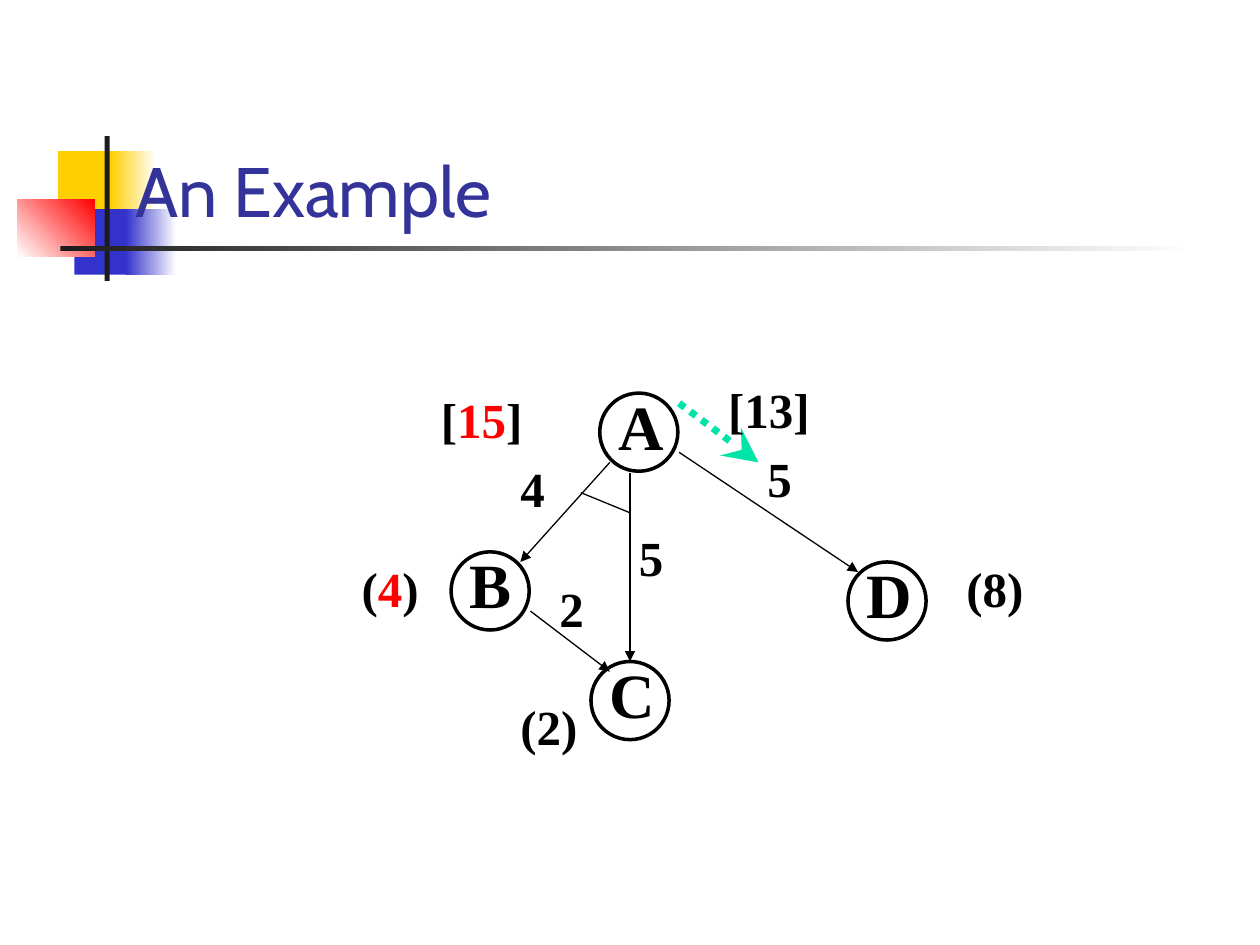
from lxml import etree
from pptx import Presentation
from pptx.dml.color import RGBColor
from pptx.enum.dml import MSO_LINE
from pptx.enum.shapes import MSO_CONNECTOR, MSO_SHAPE
from pptx.enum.text import MSO_ANCHOR, MSO_AUTO_SIZE
from pptx.oxml.ns import qn
from pptx.util import Inches, Pt

BLACK, WHITE, RED = "000000", "FFFFFF", "FF0000"
YELLOW, BLUE, DARK = "FFCF01", "3333CC", "1C1C1C"
GREEN, TITLE_BLUE = "00E4A8", "333399"
SERIF = "Times New Roman"
NODE_SIZE = 0.62


def rgb(color):
    return RGBColor.from_string(color)


def add_block(slide, left, top, width, height, colors, angle=0):
    """Rectangle without outline: one colour is solid, two make a gradient."""
    sp = slide.shapes.add_shape(MSO_SHAPE.RECTANGLE, Inches(left), Inches(top),
                                Inches(width), Inches(height))
    sp.shadow.inherit = False
    sp.line.fill.background()
    if len(colors) == 1:
        sp.fill.solid()
        sp.fill.fore_color.rgb = rgb(colors[0])
    else:
        sp.fill.gradient()
        sp.fill.gradient_angle = angle
        for stop, color in zip(sp.fill.gradient_stops, colors):
            stop.color.rgb = rgb(color)


def add_label(slide, left, top, width, height, runs, size):
    """Bold serif label made of (text, colour) runs."""
    box = slide.shapes.add_textbox(Inches(left), Inches(top),
                                   Inches(width), Inches(height))
    tf = box.text_frame
    tf.word_wrap = False
    tf.auto_size = MSO_AUTO_SIZE.SHAPE_TO_FIT_TEXT
    tf.margin_left = tf.margin_right = Inches(0.07)
    tf.margin_top = tf.margin_bottom = Inches(0.03)
    p = tf.paragraphs[0]
    p.line_spacing = 0.88
    p.font.size, p.font.name, p.font.bold = Pt(size), SERIF, True
    for text, color in runs:
        r = p.add_run()
        r.text = text
        r.font.color.rgb = rgb(color)


def add_line(slide, start, end, color=BLACK, width=0.75, head=None, head_size="med"):
    line = slide.shapes.add_connector(MSO_CONNECTOR.STRAIGHT,
                                      *(Inches(v) for v in (*start, *end)))
    line.line.color.rgb = rgb(color)
    line.line.width = Pt(width)
    if head:
        etree.SubElement(line.line._get_or_add_ln(), qn("a:tailEnd"),
                         type=head, w=head_size, len=head_size)
    etree.SubElement(line._element.spPr, qn("a:effectLst"))
    return line


def add_motif(slide, left, top):
    """Coloured squares and the rules beside the title."""
    blocks = [
        (0.32, 0.13, 0.48, 0.52, [YELLOW], 0),
        (0.74, 0.13, 0.36, 0.52, [YELLOW, WHITE], 0),
        (0.45, 0.59, 0.46, 0.52, [BLUE], 0),
        (0.86, 0.59, 0.4, 0.52, [BLUE, WHITE], 0),
        (0, 0.51, 0.61, 0.46, [WHITE, RED], 45),
        (0.69, 0.01, 0.04, 1.15, [DARK], 0),
        (0.34, 0.88, 9, 0.04, [DARK, WHITE], 0),
    ]
    for x, y, width, height, colors, angle in blocks:
        add_block(slide, left + x, top + y, width, height, colors, angle)


def add_title(slide, left, top, width, height):
    box = slide.shapes.add_textbox(Inches(left), Inches(top),
                                   Inches(width), Inches(height))
    tf = box.text_frame
    tf.word_wrap = True
    tf.vertical_anchor = MSO_ANCHOR.BOTTOM
    p = tf.paragraphs[0]
    p.text = "An Example"
    p.font.size, p.font.name = Pt(40), "Cabin"
    p.font.color.rgb = rgb(TITLE_BLUE)


def add_node(slide, left, top, name):
    """Circle with its letter."""
    circle = slide.shapes.add_shape(MSO_SHAPE.OVAL, Inches(left), Inches(top),
                                    Inches(NODE_SIZE), Inches(NODE_SIZE))
    circle.shadow.inherit = False
    circle.fill.background()
    circle.line.color.rgb = rgb(BLACK)
    circle.line.width = Pt(2)
    width = 0.47 if name == "B" else 0.5
    add_label(slide, left + 0.08, top, width, 0.58, [(name, BLACK)], 36)


def add_graph(slide, left, top):
    """AND-OR graph with edge costs, estimates and revised values."""
    def at(x, y):
        return left + x, top + y

    # Nodes
    for name, x, y in [("A", 1.96, 0.08), ("B", 0.78, 1.34),
                       ("C", 1.89, 2.21), ("D", 3.93, 1.42)]:
        add_node(slide, *at(x, y), name)

    # Edges
    for start, end in [((2.04, 0.63), (1.33, 1.42)),
                       ((2.2, 0.71), (2.2, 2.21)),
                       ((2.59, 0.55), (4.01, 1.5)),
                       ((1.41, 1.81), (2.04, 2.29))]:
        add_line(slide, at(*start), at(*end), head="triangle")

    # AND mark and the arrow along the chosen branch
    add_line(slide, at(1.81, 0.87), at(2.2, 1.03))
    choice = add_line(slide, at(2.59, 0.16), at(3.22, 0.63), GREEN, 4,
                      "stealth", "lg")
    choice.line.dash_style = MSO_LINE.ROUND_DOT

    # Edge costs, node estimates in parentheses, values in brackets
    for x, y, width, *runs in [
            (1.26, 0.63, 0.33, ("4", BLACK)),
            (3.22, 0.55, 0.33, ("5", BLACK)),
            (2.2, 1.18, 0.33, ("5", BLACK)),
            (1.57, 1.58, 0.33, ("2", BLACK)),
            (4.8, 1.42, 0.6, ("(8)", BLACK)),
            (0, 1.42, 0.6, ("(", BLACK), ("4", RED), (")", BLACK)),
            (1.26, 2.52, 0.6, ("(2)", BLACK)),
            (0.63, 0.08, 0.8, ("[", BLACK), ("15", RED), ("]", BLACK)),
            (2.91, 0, 0.8, ("[13]", BLACK))]:
        add_label(slide, *at(x, y), width, 0.47, runs, 28)


def main():
    prs = Presentation()
    prs.slide_width, prs.slide_height = Inches(10), Inches(7.5)
    slide = prs.slides.add_slide(prs.slide_layouts[6])
    add_motif(slide, 0.14, 1.07)
    add_title(slide, 0.98, 1.07, 9.31, 0.82)
    add_graph(slide, 2.8, 3.04)
    prs.save("out.pptx")


if __name__ == "__main__":
    main()
